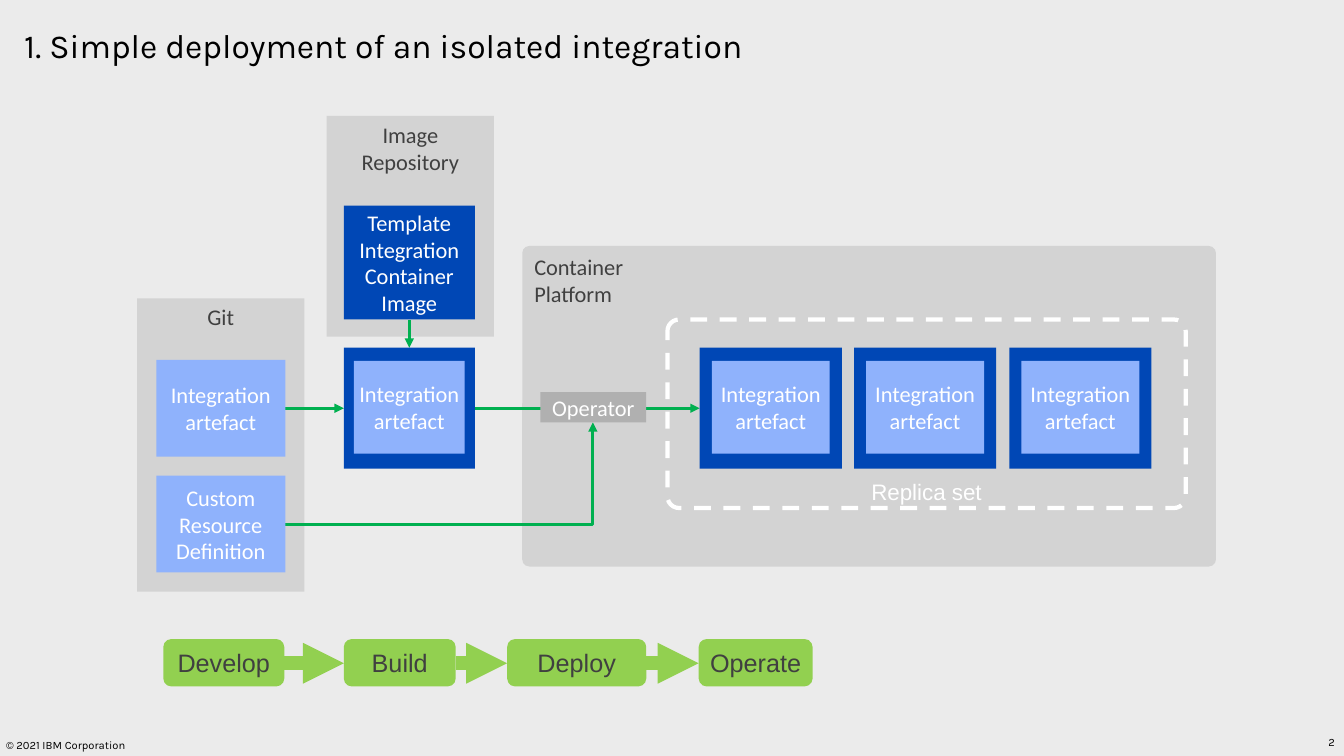
from itertools import pairwise

from lxml.etree import SubElement
from pptx import Presentation
from pptx.dml.color import RGBColor
from pptx.enum.dml import MSO_LINE
from pptx.enum.shapes import MSO_CONNECTOR, MSO_SHAPE
from pptx.enum.text import MSO_ANCHOR, PP_ALIGN
from pptx.oxml.ns import qn
from pptx.util import Pt

PX = 9144  # 100 px to the inch

THEME = {
    "colors": {
        name: RGBColor.from_string(code)
        for name, code in {
            "page": "EBEBEB", "panel": "D3D3D3", "image": "0047B5",
            "artefact": "8FB2FC", "operator": "B0B0B0", "stage": "92D050",
            "flow": "00B050", "dark": "404040", "black": "000000", "white": "FFFFFF",
        }.items()
    },
    # font, size, colour
    "type": {
        "title": ("Karla", 24, "black"),
        "footer": ("Karla", 8, "black"),
        "panel": ("Calibri", 16, "dark"),
        "box": ("Calibri", 16, "white"),
        "stage": ("Arial", 18, "dark"),
        "replica": ("Arial", 16, "white"),
    },
}
COLORS = THEME["colors"]

NO_INSETS = dict.fromkeys(("margin_left", "margin_top", "margin_right", "margin_bottom"), 0)
TOP = {"word_wrap": True, "vertical_anchor": MSO_ANCHOR.TOP}
MIDDLE = {"word_wrap": True, "vertical_anchor": MSO_ANCHOR.MIDDLE}
BOTTOM = {"word_wrap": True, "vertical_anchor": MSO_ANCHOR.BOTTOM}

prs = Presentation()
prs.slide_width, prs.slide_height = 1333 * PX, 750 * PX
slide = prs.slides.add_slide(prs.slide_layouts[6])
slide.background.fill.solid()
slide.background.fill.fore_color.rgb = COLORS["page"]


def add_box(box, text="", style="box", fill=None, kind=MSO_SHAPE.RECTANGLE,
            frame=MIDDLE | NO_INSETS, align=PP_ALIGN.CENTER):
    """Add a filled shape, or a text box when kind is None."""
    place = [length * PX for length in box]
    if kind is None:
        shape = slide.shapes.add_textbox(*place)
    else:
        shape = slide.shapes.add_shape(kind, *place)
        shape.shadow.inherit = False
        shape.line.fill.background()
        if fill:
            shape.fill.solid()
            shape.fill.fore_color.rgb = COLORS[fill]
        else:
            shape.fill.background()
    if text:
        for name, value in frame.items():
            setattr(shape.text_frame, name, value)
        shape.text_frame.text = text
        font_name, size, color = THEME["type"][style]
        for paragraph in shape.text_frame.paragraphs:
            paragraph.alignment = align
            paragraph.font.name = font_name
            paragraph.font.size = Pt(size)
            paragraph.font.color.rgb = COLORS[color]
    return shape


def add_arrow(start, end, color="flow", width=2.25, kind=MSO_CONNECTOR.STRAIGHT):
    arrow = slide.shapes.add_connector(kind, *(length * PX for length in (*start, *end)))
    arrow.line.color.rgb = COLORS[color]
    arrow.line.width = Pt(width)
    SubElement(arrow.line._get_or_add_ln(), qn("a:tailEnd"), type="triangle")
    SubElement(arrow._element.spPr, qn("a:effectLst"))
    return arrow


# Title and footer
title = add_box((24, 29, 1284, 61), "1. Simple deployment of an isolated integration",
                "title", kind=None, frame=TOP | NO_INSETS, align=PP_ALIGN.LEFT)
title.text_frame.paragraphs[0].line_spacing = 0.9
add_box((6, 729, 142, 21), "© 2021 IBM Corporation", "footer", kind=None, align=PP_ALIGN.LEFT)
add_box((1024, 726, 300, 20), "2", "footer", kind=None, align=PP_ALIGN.RIGHT)

# Panels
add_box((324, 115, 166, 219), "Image Repository", "panel", "panel", frame=TOP)
add_box((136, 296, 166, 291), "Git", "panel", "panel", frame=TOP)
platform = add_box((518, 244, 688, 318), "Container\nPlatform", "panel", "panel",
                   MSO_SHAPE.ROUNDED_RECTANGLE, TOP, PP_ALIGN.LEFT)
platform.adjustments[0] = 0.022

# Flow from Git through the image to the replicas
FLOW_Y = 405
add_arrow((283, FLOW_Y), (341, FLOW_Y))
add_arrow((406, 317), (406, 345))
add_arrow((471, FLOW_Y), (694, FLOW_Y))
definition_flow = add_arrow((283, 520), (588, 419), kind=MSO_CONNECTOR.ELBOW)
definition_flow._element.spPr.find(qn("a:prstGeom")).set("prst", "bentConnector2")

add_box((341, 204, 130, 113), "Template Integration Container Image", fill="image")
add_box((155, 357, 128, 96), "Integration artefact", fill="artefact")
add_box((155, 472, 128, 96), "Custom\nResource\nDefinition", fill="artefact")
add_box((536, 389, 105, 30), "Operator", fill="operator", frame=MIDDLE)

# Built image and its replicas: left, width, side border
for left, width, border in ((341, 130, 10), (694, 141, 12), (847, 141, 12), (1001, 141, 12)):
    add_box((left, 345, width, 120), fill="image")
    add_box((left + border, 358, width - 2 * border, 92), "Integration artefact", fill="artefact")

replica_set = add_box((662, 317, 514, 187), "Replica set", "replica",
                      kind=MSO_SHAPE.ROUNDED_RECTANGLE, frame=BOTTOM | NO_INSETS)
replica_set.adjustments[0] = 0.062
replica_set.line.color.rgb = COLORS["white"]
replica_set.line.width = Pt(3)
replica_set.line.dash_style = MSO_LINE.DASH

# Delivery stages: label, left, width
stages = (("Develop", 162, 120), ("Build", 341, 111), ("Deploy", 503, 138), ("Operate", 693, 113))
for label, left, width in stages:
    add_box((left, 634, width, 47), label, "stage", "stage", MSO_SHAPE.ROUNDED_RECTANGLE)
for (_, left, width), (_, next_left, _) in pairwise(stages):
    add_arrow((left + width, 658), (next_left, 658), "stage", 9.75)

prs.save("out.pptx")
